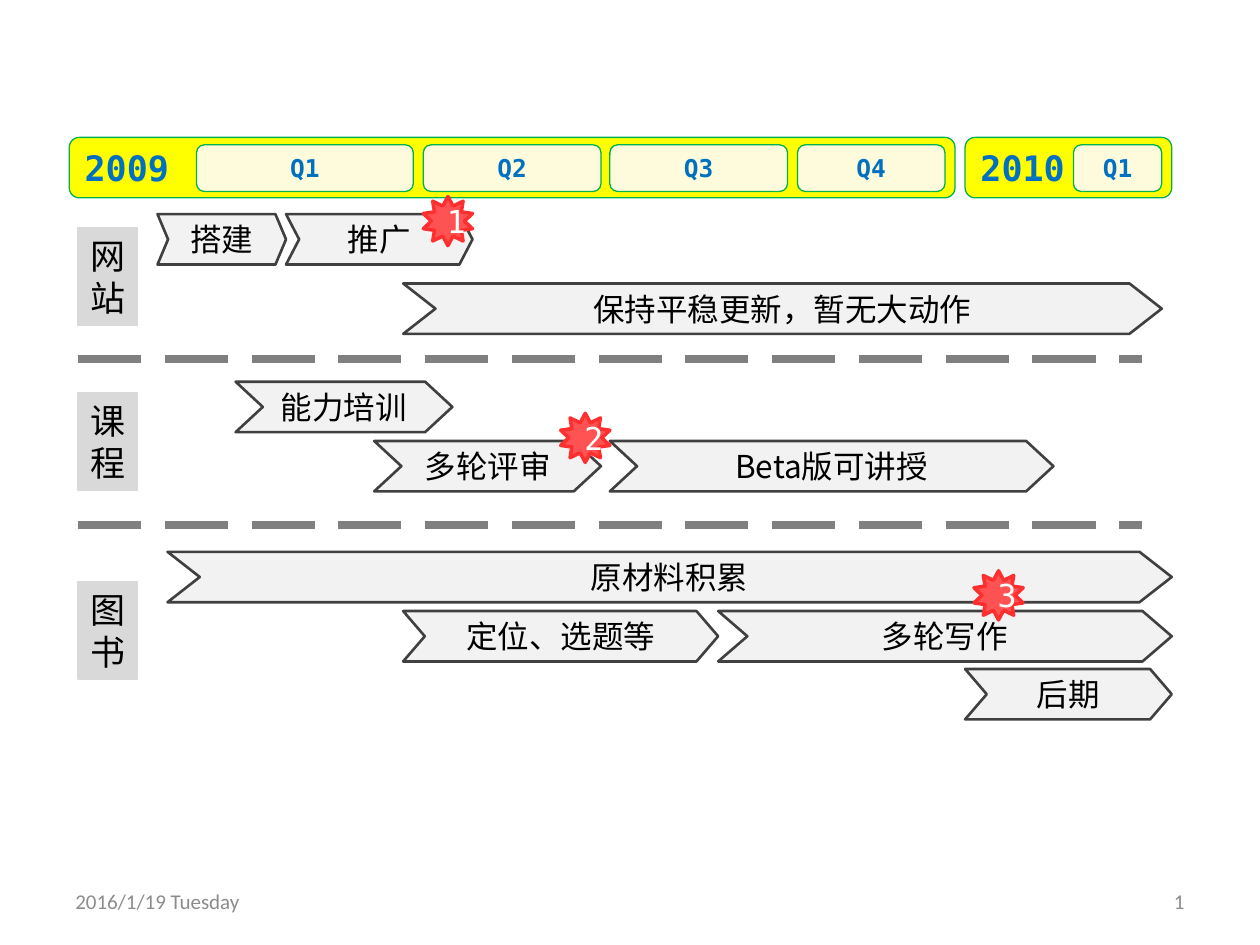
from dataclasses import dataclass

from lxml.etree import SubElement
from pptx import Presentation
from pptx.dml.color import RGBColor
from pptx.enum.dml import MSO_LINE
from pptx.enum.shapes import MSO_CONNECTOR, MSO_SHAPE
from pptx.enum.text import MSO_ANCHOR, PP_ALIGN
from pptx.oxml.ns import qn
from pptx.util import Inches, Pt

# The page is a grid of 100 columns and 75 rows
PAGE_WIDTH, PAGE_HEIGHT = Inches(10), Inches(7.5)
COLUMN, ROW = PAGE_WIDTH / 100, PAGE_HEIGHT / 75
HAN, MONO, PLAIN = "Noto Sans CJK SC", "DejaVu Sans Mono", "Calibri"


@dataclass(frozen=True)
class Area:
    left: float
    top: float
    width: float
    height: float

    def lengths(self) -> tuple[int, int, int, int]:
        return (round(self.left * COLUMN), round(self.top * ROW),
                round(self.width * COLUMN), round(self.height * ROW))


@dataclass(frozen=True)
class Type:
    font: str
    size: float
    color: str
    bold: bool = False
    align: PP_ALIGN = PP_ALIGN.CENTER


@dataclass(frozen=True)
class Look:
    preset: MSO_SHAPE
    fill: str
    line: str
    weight: float
    type: Type
    inset: float = 0


@dataclass(frozen=True)
class Stage:
    text: str
    left: float
    top: float
    width: float
    notch: float


YEAR = Look(MSO_SHAPE.FLOWCHART_ALTERNATE_PROCESS, "FFFF00", "00B050", 0.75,
            Type(MONO, 20, "0070C0", True, PP_ALIGN.LEFT), 0.1)
QUARTER = Look(MSO_SHAPE.FLOWCHART_ALTERNATE_PROCESS, "FDFBDB", "00B050", 0.75,
               Type(MONO, 14, "0070C0", True))
TRACK = Look(MSO_SHAPE.CHEVRON, "D9D9D9", "D9D9D9", 0.75, Type(HAN, 20, "000000"))
STAGE = Look(MSO_SHAPE.CHEVRON, "F2F2F2", "404040", 1.5, Type(HAN, 18, "000000"))
MILESTONE = Look(MSO_SHAPE.STAR_10_POINT, "FF5353", "FF2F2F", 2,
                 Type(MONO, 18, "FFFFFF"), 0.1)

YEARS = [("2009", Area(5.5, 10.9, 70.3, 4.8)), ("2010", Area(76.6, 10.9, 16.4, 4.8))]
QUARTERS = [("Q1", 15.6, 17.2), ("Q2", 33.6, 14.1), ("Q3", 48.4, 14.1),
            ("Q4", 63.3, 11.7), ("Q1", 85.2, 7)]
TRACKS = [("网站", 18.1), ("课程", 31.2), ("图书", 46.2)]
STAGES = [
    Stage("搭建", 12.5, 17, 10.2, 0.21),
    Stage("推广", 22.7, 17, 14.8, 0.26),
    Stage("保持平稳更新，暂无大动作", 32, 22.5, 60.2, 0.64),
    Stage("能力培训", 18.7, 30.3, 17.2, 0.54),
    Stage("多轮评审", 29.7, 35, 18, 0.54),
    Stage("Beta版可讲授", 48.4, 35, 35.2, 0.54),
    Stage("原材料积累", 13.3, 43.8, 79.7, 0.64),
    Stage("定位、选题等", 32, 48.5, 25, 0.43),
    Stage("多轮写作", 57, 48.5, 36, 0.58),
    Stage("后期", 76.6, 53.1, 16.4, 0.43),
]
MILESTONES = [(33.6, 15.6), (44.5, 32.8), (77.3, 45.3)]
DIVIDER_ROWS = [28.5, 41.7]


def color(value: str) -> RGBColor:
    return RGBColor.from_string(value)


def write(shape, lines: list[str], style: Type, inset: float) -> None:
    frame = shape.text_frame
    frame.word_wrap = True
    frame.vertical_anchor = MSO_ANCHOR.MIDDLE
    frame.margin_left = frame.margin_right = Inches(inset)
    frame.margin_top = frame.margin_bottom = 0
    frame.text = "\n".join(lines)
    for para in frame.paragraphs:
        para.alignment = style.align
        para.font.name = style.font
        para.font.size = Pt(style.size)
        para.font.bold = style.bold
        para.font.color.rgb = color(style.color)
        # East Asian letters take their font from a separate element
        for span in para.runs:
            span.font.name = style.font
            SubElement(span.font._element, qn("a:ea"), typeface=style.font)


def draw_shape(page, area: Area, look: Look, lines: list[str],
               notch: float | None = None) -> None:
    shape = page.shapes.add_shape(look.preset, *area.lengths())
    shape.shadow.inherit = False
    if notch is not None:
        shape.adjustments[0] = notch
    shape.fill.solid()
    shape.fill.fore_color.rgb = color(look.fill)
    shape.line.color.rgb = color(look.line)
    shape.line.width = Pt(look.weight)
    write(shape, lines, look.type, look.inset)


def draw_divider(page, row: float) -> None:
    left, top, right, bottom = Area(6.2, row, 90.6, row).lengths()
    divider = page.shapes.add_connector(MSO_CONNECTOR.STRAIGHT, left, top, right, bottom)
    divider.line.color.rgb = color("808080")
    divider.line.width = Pt(4.5)
    divider.line.dash_style = MSO_LINE.LONG_DASH
    SubElement(divider._element.spPr, qn("a:effectLst"))


def draw_footer(page, text: str, left: float, width: float, align: PP_ALIGN) -> None:
    box = page.shapes.add_textbox(*Area(left, 69.5, width, 4).lengths())
    write(box, [text], Type(PLAIN, 12, "8C8C8C", align=align), 0.1)


def main() -> None:
    deck = Presentation()
    deck.slide_width, deck.slide_height = PAGE_WIDTH, PAGE_HEIGHT
    page = deck.slides.add_slide(deck.slide_layouts[6])

    # Calendar
    for year, area in YEARS:
        draw_shape(page, area, YEAR, [year])
    for quarter, left, width in QUARTERS:
        draw_shape(page, Area(left, 11.5, width, 3.7), QUARTER, [quarter])

    # Tracks, with one letter to a line, and their stages
    for name, top in TRACKS:
        draw_shape(page, Area(6.2, top, 4.7, 7.7), TRACK, list(name), 0)
    for stage in STAGES:
        area = Area(stage.left, stage.top, stage.width, 4)
        draw_shape(page, area, STAGE, [stage.text], stage.notch)
    for row in DIVIDER_ROWS:
        draw_divider(page, row)

    # Milestones
    for number, (left, top) in enumerate(MILESTONES, start=1):
        draw_shape(page, Area(left, top, 3.9, 3.9), MILESTONE, [str(number)], 0.32)

    # Footer
    draw_footer(page, "2016/1/19 Tuesday", 5, 23.3, PP_ALIGN.LEFT)
    draw_footer(page, "1", 87.5, 7.5, PP_ALIGN.RIGHT)

    deck.save("out.pptx")


if __name__ == "__main__":
    main()
